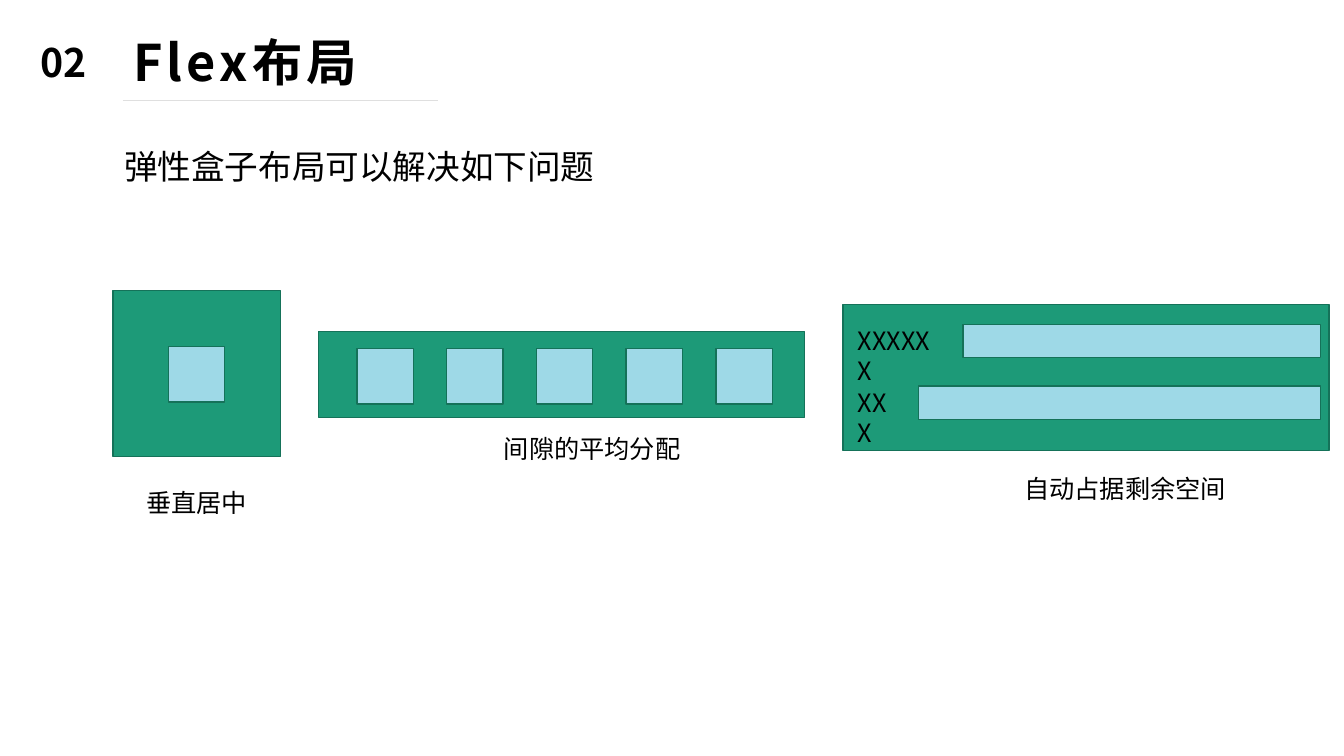
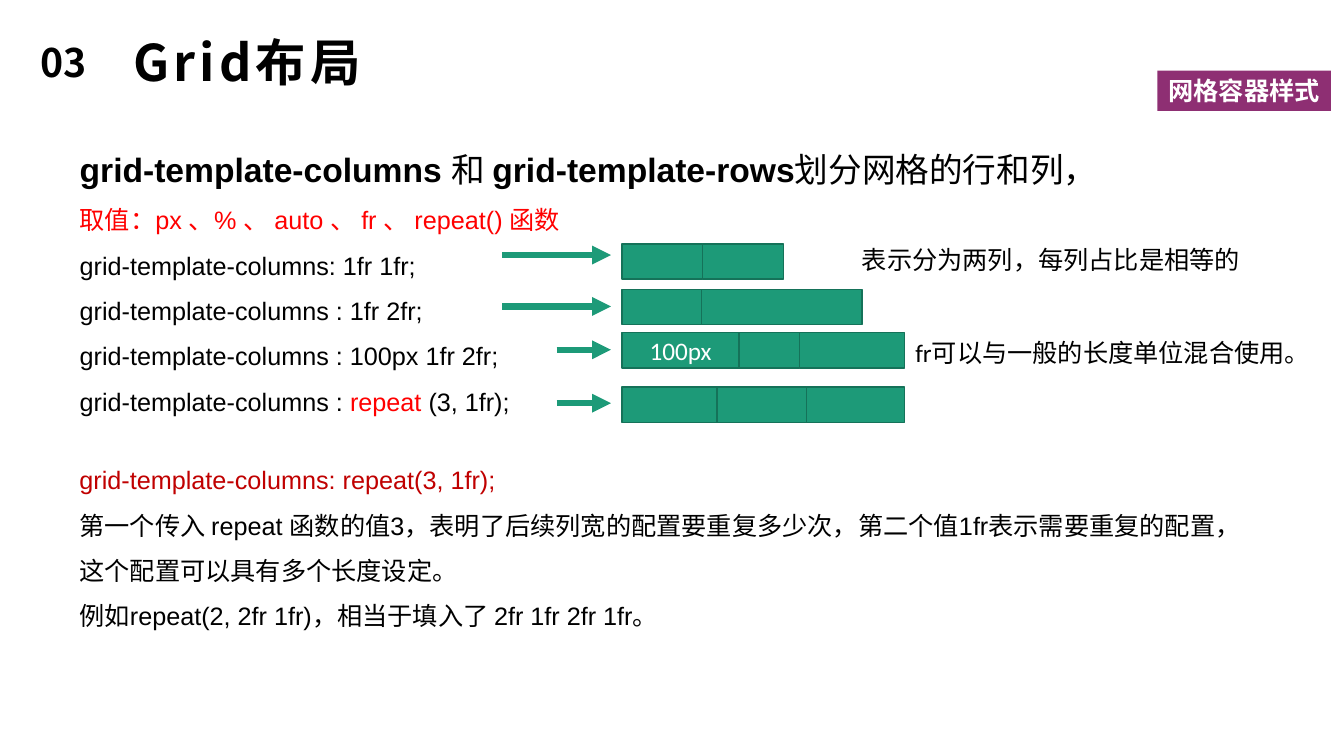
from lxml.etree import SubElement
from pptx import Presentation
from pptx.dml.color import RGBColor
from pptx.enum.shapes import MSO_CONNECTOR, MSO_SHAPE
from pptx.enum.text import MSO_ANCHOR, MSO_AUTO_SIZE, PP_ALIGN
from pptx.oxml.ns import qn
from pptx.util import Inches, Pt

CJK_FONT = "Noto Sans CJK SC"
BLACK, WHITE, RED, DARK_RED = "000000", "FFFFFF", "FF0000", "C00000"
GREEN, DARK_GREEN, LIGHT_BLUE = "1D9A78", "157259", "9ED9E7"
PURPLE, RULE_GREY = "8E2F73", "DFDFDF"

BASE = {"size": 18, "name": CJK_FONT, "bold": False, "color": BLACK}
TITLE = BASE | {"size": 36, "bold": True, "spacing": 3}
NUMBER = BASE | {"size": 28, "bold": True}
LEAD = BASE | {"size": 24, "name": "Arial"}
CODE = BASE | {"name": "Arial"}
NOTE = BASE | {"name": "Calibri"}
CELL = NOTE | {"color": WHITE}
TAG = CELL | {"bold": True}


def rgb(value):
    """Turn a hex string into a colour."""
    return RGBColor.from_string(value)


def place(shape, left, top, width, height):
    """Position a shape with lengths in inches."""
    box = {"left": left, "top": top, "width": width, "height": height}
    for name, value in box.items():
        setattr(shape, name, Inches(value))


def format_run(run, style):
    """Apply a style dict to one run."""
    values = {"size": Pt(style["size"]), "name": style["name"], "bold": style["bold"]}
    for name, value in values.items():
        setattr(run.font, name, value)
    run.font.color.rgb = rgb(style["color"])
    properties = run._r.get_or_add_rPr()
    SubElement(properties, qn("a:ea")).set("typeface", CJK_FONT)
    if "spacing" in style:
        properties.set("spc", str(style["spacing"] * 100))


def write_text(frame, paragraphs, style, align=PP_ALIGN.LEFT, line_spacing=1.0):
    """Write paragraphs, each a list of (text, style changes) runs."""
    for index, runs in enumerate(paragraphs):
        paragraph = frame.paragraphs[0] if index == 0 else frame.add_paragraph()
        properties = paragraph._p.get_or_add_pPr()
        properties.set("marL", "0")
        properties.set("indent", "0")
        SubElement(properties, qn("a:buNone"))
        values = {"alignment": align, "line_spacing": line_spacing, "space_before": Pt(0)}
        for name, value in values.items():
            setattr(paragraph, name, value)
        for text, changes in runs:
            run = paragraph.add_run()
            run.text = text
            format_run(run, style | changes)


def fill_placeholder(shape, box, paragraphs, style, line_spacing=1.0):
    """Move a placeholder and give it top-anchored text."""
    place(shape, *box)
    frame = shape.text_frame
    values = {"auto_size": MSO_AUTO_SIZE.NONE, "vertical_anchor": MSO_ANCHOR.TOP, "word_wrap": True}
    for name, value in values.items():
        setattr(frame, name, value)
    write_text(frame, paragraphs, style, line_spacing=line_spacing)


def add_text(slide, box, paragraphs, style, wrap=False, line_spacing=1.0):
    """Add a text box that grows with its text."""
    frame = slide.shapes.add_textbox(*map(Inches, box)).text_frame
    frame.word_wrap = wrap
    frame.auto_size = MSO_AUTO_SIZE.SHAPE_TO_FIT_TEXT
    write_text(frame, paragraphs, style, line_spacing=line_spacing)


def add_label(slide, box, text, style=BASE, wrap=False):
    """Add a one-paragraph text box."""
    add_text(slide, box, [[(text, {})]], style, wrap)


def add_box(slide, box, fill, line=DARK_GREEN, text="", style=CELL):
    """Add a rectangle, outlined and labelled when asked."""
    shape = slide.shapes.add_shape(MSO_SHAPE.RECTANGLE, *map(Inches, box))
    shape.shadow.inherit = False
    shape.fill.solid()
    shape.fill.fore_color.rgb = rgb(fill)
    if line:
        shape.line.color.rgb = rgb(line)
        shape.line.width = Pt(1)
    else:
        shape.line.fill.background()
    if text:
        shape.text_frame.word_wrap = False
        shape.text_frame.vertical_anchor = MSO_ANCHOR.MIDDLE
        write_text(shape.text_frame, [[(text, {})]], style, PP_ALIGN.CENTER)


def add_line(slide, start, end, color, width, arrow=False):
    """Add a straight line, with an arrowhead at its end if asked."""
    points = map(Inches, (*start, *end))
    connector = slide.shapes.add_connector(MSO_CONNECTOR.STRAIGHT, *points)
    connector.line.color.rgb = rgb(color)
    connector.line.width = Pt(width)
    if arrow:
        SubElement(connector.line._get_or_add_ln(), qn("a:tailEnd")).set("type", "triangle")
    SubElement(connector._element.spPr, qn("a:effectLst"))


def add_slide(presentation, number, title, body_box, body):
    """Add a slide with its number, title and body text."""
    slide = presentation.slides.add_slide(presentation.slide_layouts[1])
    fill_placeholder(slide.shapes.title, (1.22, 0.26, 11.38, 0.71), [[(title, {})]], TITLE)
    fill_placeholder(slide.placeholders[1], body_box, body, LEAD, 1.5)
    add_box(slide, (0, 0.2, 1.27, 0.82), WHITE, None, number, NUMBER)
    return slide


def build_flex(presentation):
    """Build the slide on problems solved by flex layout."""
    slide = add_slide(presentation, "02", "Flex布局", (1.13, 1.2, 5.2, 0.71),
                      [[("弹性盒子布局可以解决如下问题", {})]])
    add_line(slide, (1.22, 1), (4.34, 1), RULE_GREY, 0.5)

    add_box(slide, (1.12, 2.88, 1.66, 1.65), GREEN)
    add_box(slide, (1.67, 3.44, 0.56, 0.55), LIGHT_BLUE)
    add_label(slide, (1.35, 4.79, 1.21, 0.4), "垂直居中")

    add_box(slide, (3.16, 3.29, 4.82, 0.85), GREEN)
    for index in range(5):
        add_box(slide, (3.54 + 0.89 * index, 3.46, 0.56, 0.55), LIGHT_BLUE)
    add_label(slide, (4.9, 4.25, 1.97, 0.4), "间隙的平均分配")

    add_box(slide, (8.36, 3.02, 4.82, 1.45), GREEN)
    bar_right = 13.1
    for text, top, text_width, bar_left in (("XXXXXX", 3.18, 0.96, 9.55), ("XXX", 3.79, 0.58, 9.11)):
        add_label(slide, (8.41, top, text_width, 0.4), text, wrap=True)
        add_box(slide, (bar_left, top + 0.04, bar_right - bar_left, 0.33), LIGHT_BLUE)
    add_label(slide, (10.06, 4.65, 2.22, 0.4), "自动占据剩余空间")


def build_grid(presentation):
    """Build the slide on grid rows and columns."""
    small, bold = {"size": 18}, {"bold": True}
    red = small | {"color": RED}
    slide = add_slide(presentation, "03", "Grid布局", (0.69, 1.23, 11.93, 2.98), [
        [("grid-template-columns ", bold), ("和 ", {}),
         ("grid-template-rows", bold), ("划分网格的行和列，", {})],
        [("取值：px 、% 、 auto 、 fr 、 repeat() 函数", red)],
        [("grid-template-columns: 1fr 1fr;", small)],
        [("grid-template-columns : 1fr 2fr;", small)],
        [("grid-template-columns : 100px 1fr 2fr;", small)],
        [("grid-template-columns : ", small), ("repeat", red), (" (3, 1fr);", small)],
    ])
    rows = (
        (4.98, 2.53, 2.42, (("", 0.8), ("", 0.8))),
        (4.98, 3.04, 2.87, (("", 0.79), ("", 1.59))),
        (5.52, 3.47, 3.3, (("100px", 1.16), ("", 0.6), ("", 1.04))),
        (5.52, 4, 3.84, (("", 0.94), ("", 0.89), ("", 0.97))),
    )
    for arrow_left, arrow_top, top, cells in rows:
        add_line(slide, (arrow_left, arrow_top), (6.06, arrow_top), GREEN, 4.5, arrow=True)
        left = 6.17
        for text, width in cells:
            add_box(slide, (left, top, width, 0.35), GREEN, text=text)
            left += width
    add_label(slide, (8.45, 2.37, 3.99, 0.4), "表示分为两列，每列占比是相等的", NOTE)
    add_label(slide, (8.98, 3.3, 4.15, 0.4), "fr可以与一般的长度单位混合使用。", NOTE)
    add_text(slide, (0.69, 4.41, 11.66, 1.92), [
        [("grid-template-columns: repeat(3, 1fr);", {"color": DARK_RED})],
        [("第一个传入 repeat 函数的值3，表明了后续列宽的配置要重复多少次，"
          "第二个值1fr表示需要重复的配置，这个配置可以具有多个长度设定。", {})],
        [("例如repeat(2, 2fr 1fr)，相当于填入了 2fr 1fr 2fr 1fr。", {})],
    ], CODE, wrap=True, line_spacing=1.5)
    add_box(slide, (11.48, 0.7, 1.72, 0.4), PURPLE, None, "网格容器样式", TAG)


def main():
    """Build and save the presentation."""
    presentation = Presentation()
    presentation.slide_width = Inches(13.33)
    presentation.slide_height = Inches(7.5)
    build_flex(presentation)
    build_grid(presentation)
    presentation.save("out.pptx")


if __name__ == "__main__":
    main()
